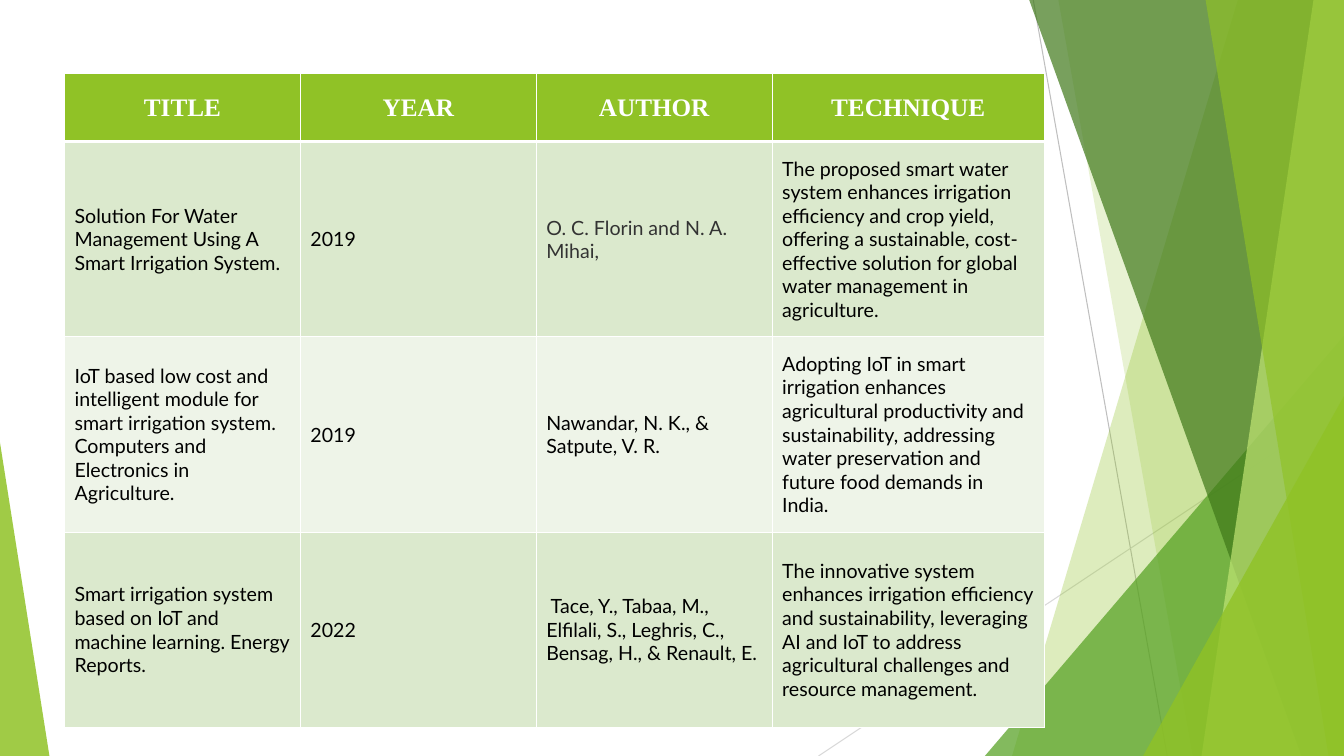
from lxml import etree
from pptx import Presentation
from pptx import util as u
from pptx.dml.color import RGBColor
from pptx.enum import shapes, text
from pptx.oxml.ns import qn

LIME, GREEN, FOREST, PALE_LIME = "90C226", "54A021", "3F7819", "C0E474"
WHITE, BLACK, CHARCOAL = "FFFFFF", "000000", "333333"
BANDS = ["DBE9CD", "EEF4E8"]

HEADINGS = ["TITLE", "YEAR", "AUTHOR", "TECHNIQUE"]
PAPERS = [
    ["Solution For Water Management Using A Smart Irrigation System.",
     "2019",
     "O. C. Florin and N. A. Mihai,",
     "The proposed smart water system enhances irrigation efficiency and crop yield, "
     "offering a sustainable, cost-effective solution for global water management in "
     "agriculture."],
    ["IoT based low cost and intelligent module for smart irrigation system. "
     "Computers and Electronics in Agriculture.",
     "2019",
     "Nawandar, N. K., & Satpute, V. R.",
     "Adopting IoT in smart irrigation enhances agricultural productivity and "
     "sustainability, addressing water preservation and future food demands in India."],
    ["Smart irrigation system based on IoT and machine learning. Energy Reports.",
     "2022",
     " Tace, Y., Tabaa, M., Elfilali, S., Leghris, C., Bensag, H., & Renault, E.",
     "The innovative system enhances irrigation efficiency and sustainability, "
     "leveraging AI and IoT to address agricultural challenges and resource management."],
]


def rgb(hex_color):
    return RGBColor.from_string(hex_color)


class FacetSlide:
    """Draws on one slide; every position and size is a percentage of the slide."""

    heading_font, body_font = "Times New Roman", "Lato"
    heading_size, body_size = u.Pt(18), u.Pt(14)

    def __init__(self, deck):
        self.width, self.height = deck.slide_width, deck.slide_height
        self.shapes = deck.slides.add_slide(deck.slide_layouts[6]).shapes

    def x(self, percent):
        return round(self.width * percent / 100)

    def y(self, percent):
        return round(self.height * percent / 100)

    def line(self, start, end, color):
        rule = self.shapes.add_connector(
            shapes.MSO_CONNECTOR.STRAIGHT,
            self.x(start[0]), self.y(start[1]), self.x(end[0]), self.y(end[1]))
        rule.line.color.rgb = rgb(color)
        rule.line.width = u.Pt(0.75)
        etree.SubElement(rule.element.spPr, qn("a:effectLst"))

    def paint(self, shape, color, opacity):
        shape.shadow.inherit = False
        shape.line.fill.background()
        shape.fill.solid()
        shape.fill.fore_color.rgb = rgb(color)
        tint = shape.element.spPr.find(qn("a:solidFill"))[0]
        etree.SubElement(tint, qn("a:alpha"), val=str(opacity * 1000))

    def facet(self, top_x, bottom_x, color, opacity):
        """Full-height panel from a slanted left edge to the slide's right edge."""
        outline = self.shapes.build_freeform(self.x(top_x), 0)
        outline.add_line_segments([(self.width, 0), (self.width, self.height),
                                   (self.x(bottom_x), self.height)])
        self.paint(outline.convert_to_shape(), color, opacity)

    def corner(self, left, right, top, apex, color, opacity):
        """Triangle on the bottom edge; apex is 0 for its left side, 1 for its right."""
        wedge = self.shapes.add_shape(
            shapes.MSO_SHAPE.ISOSCELES_TRIANGLE, self.x(left), self.y(top),
            self.x(right - left), self.y(100 - top))
        wedge.adjustments[0] = apex
        self.paint(wedge, color, opacity)

    def table(self, left, top, col_widths, row_heights, rows):
        grid = self.shapes.add_table(
            len(rows), len(col_widths), self.x(left), self.y(top),
            self.x(sum(col_widths)), self.y(sum(row_heights))).table
        grid.horz_banding = False
        for column, width in zip(grid.columns, col_widths):
            column.width = self.x(width)
        for row, height in zip(grid.rows, row_heights):
            row.height = self.y(height)
        for r, words in enumerate(rows):
            for c, wording in enumerate(words):
                self.cell(grid.cell(r, c), r, wording)
        return grid

    def cell(self, cell, row, wording):
        header = row == 0
        self.borders(cell, top=3 if row == 1 else 1, bottom=3 if header else 1)
        cell.fill.solid()
        cell.fill.fore_color.rgb = rgb(LIME if header else BANDS[(row - 1) % 2])
        cell.vertical_anchor = text.MSO_ANCHOR.MIDDLE
        paragraph = cell.text_frame.paragraphs[0]
        paragraph.text = wording
        paragraph.alignment = text.PP_ALIGN.CENTER if header else text.PP_ALIGN.LEFT
        font = paragraph.runs[0].font
        font.name = self.heading_font if header else self.body_font
        font.size = self.heading_size if header else self.body_size
        font.bold = header
        font.color.rgb = rgb(WHITE if header else BLACK)

    def borders(self, cell, top, bottom):
        properties = cell._tc.get_or_add_tcPr()
        for side, points in zip("LRTB", (1, 1, top, bottom)):
            edge = etree.SubElement(properties, qn(f"a:ln{side}"), w=str(u.Pt(points)))
            fill = etree.SubElement(edge, qn("a:solidFill"))
            etree.SubElement(fill, qn("a:srgbClr"), val=WHITE)


def main():
    deck = Presentation()
    deck.slide_width, deck.slide_height = u.Inches(13.33), u.Inches(7.5)
    slide = FacetSlide(deck)

    slide.line((76.88, 0), (86.85, 100), "BFBFBF")
    slide.line((100, 53.73), (60.9, 100), "D9D9D9")
    slide.facet(92.1, 75.3, LIME, 30)
    slide.facet(78.75, 88.73, LIME, 20)
    slide.corner(73.28, 100, 44.4, 1, GREEN, 72)
    slide.facet(76.58, 96.83, FOREST, 70)
    slide.facet(97.73, 89.4, PALE_LIME, 70)
    slide.facet(89.7, 98.85, LIME, 65)
    slide.corner(85.05, 100, 52.4, 1, LIME, 80)
    slide.corner(0, 3.68, 58.53, 0, LIME, 85)

    survey = slide.table(4.8, 9.73, [17.55] * 3 + [20.25], [9] + [25.83] * 3,
                         [HEADINGS] + PAPERS)
    first_author = survey.cell(1, 2).text_frame.paragraphs[0].runs[0]
    first_author.font.color.rgb = rgb(CHARCOAL)

    deck.save("out.pptx")


if __name__ == "__main__":
    main()
